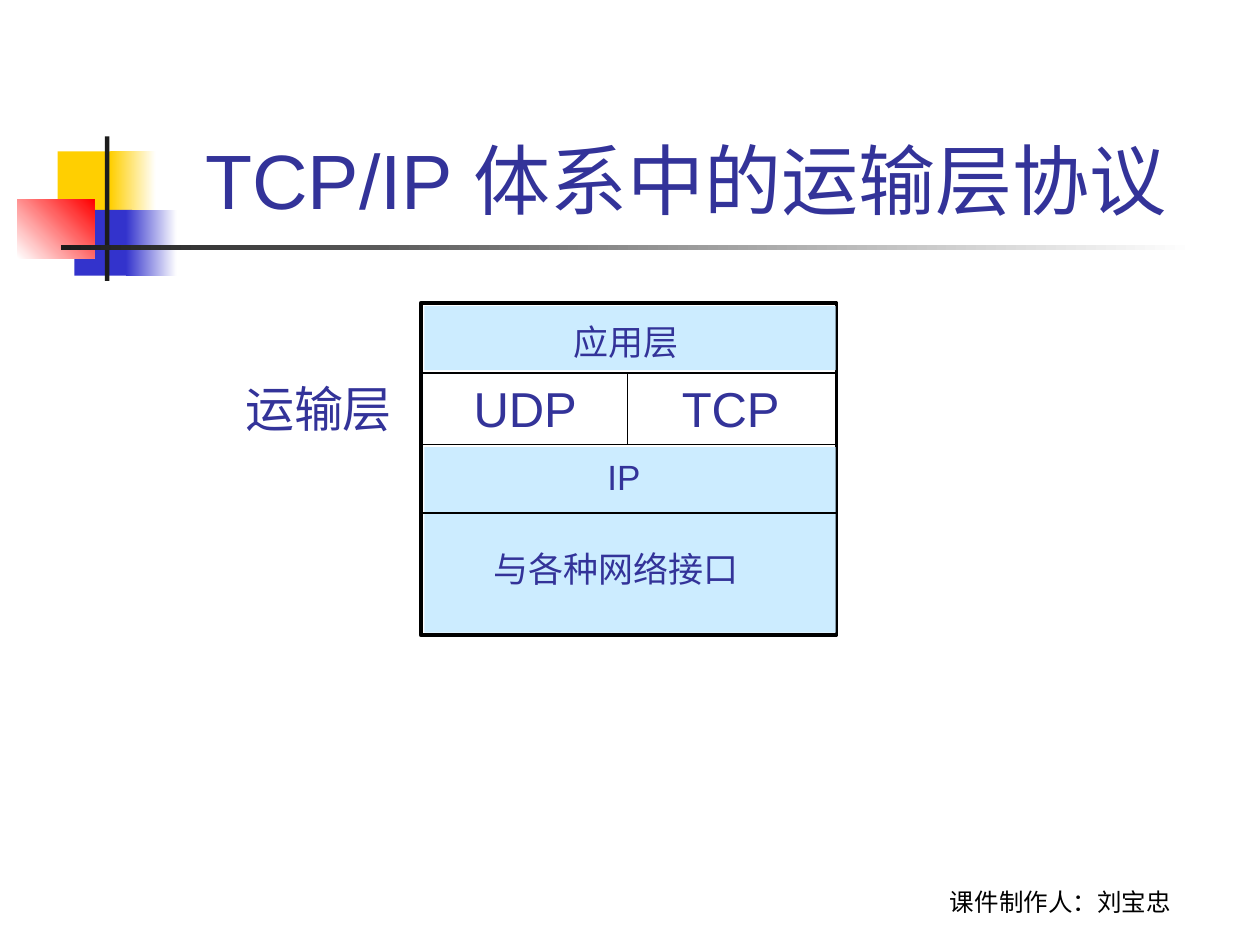
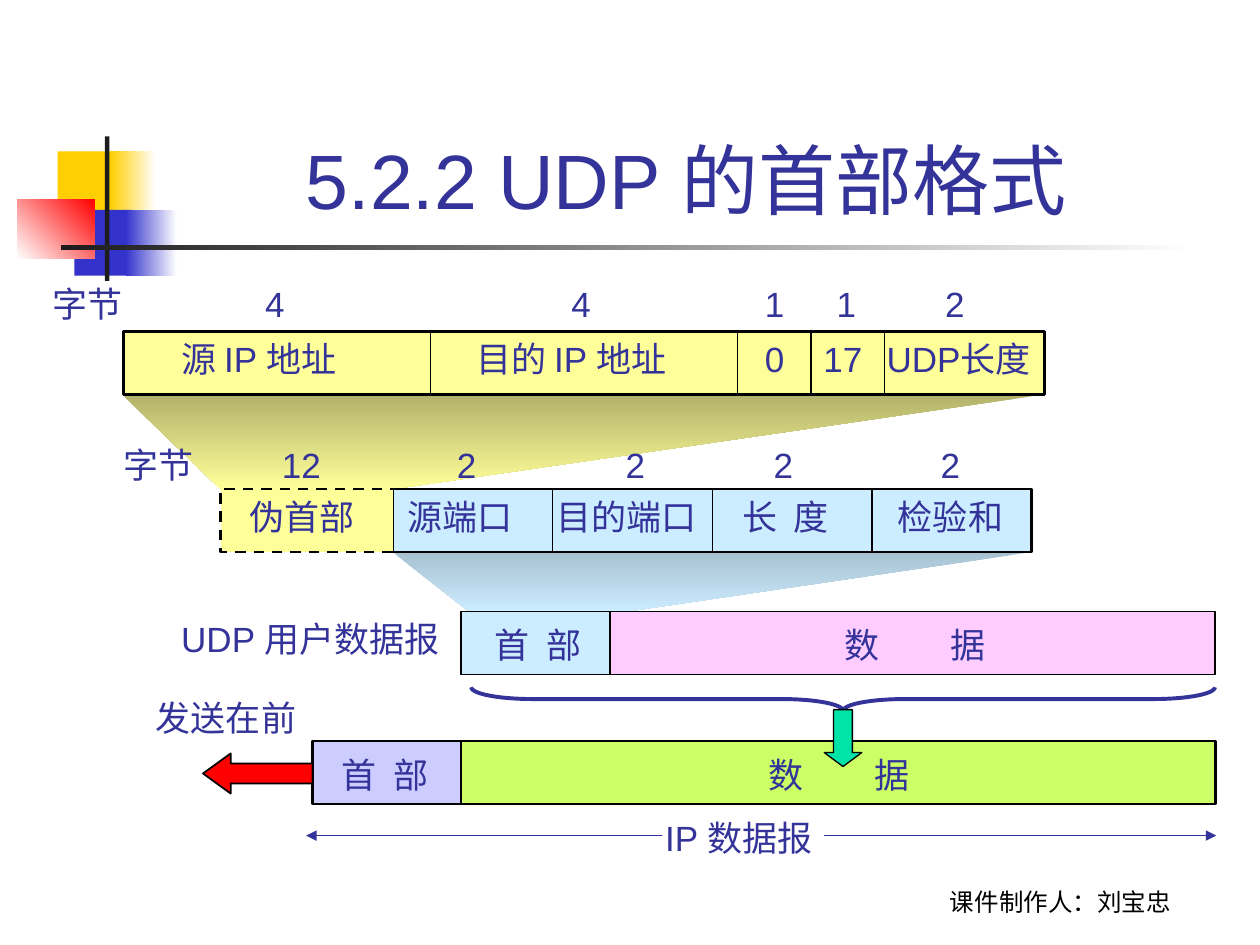
from lxml.etree import SubElement
from pptx import Presentation
from pptx.dml.color import RGBColor
from pptx.enum.dml import MSO_LINE
from pptx.enum.shapes import MSO_CONNECTOR, MSO_SHAPE
from pptx.enum.text import MSO_ANCHOR, PP_ALIGN
from pptx.oxml.ns import qn
from pptx.util import Pt

COLORS = {
    "ink": "333399", "black": "000000", "white": "FFFFFF", "dark": "1C1C1C",
    "gold": "FFCF01", "blue": "3333CC", "red": "FF0000",
    "sky": "CCECFF", "sky_shade": "A7C1D1",
    "yellow": "FFFF99", "yellow_shade": "B2B26B",
    "lilac": "CCCCFF", "pink": "FFCCFF", "lime": "CCFF66", "mint": "00E4A8",
}
ROW_HEIGHT = 36
LABEL_SLACK = 8  # spare width that keeps each label on one line


def rgb(name):
    return RGBColor.from_string(COLORS[name])


class Pen:
    """Holds the style of the deck and draws on the current slide."""

    def __init__(self):
        self.deck = Presentation()
        self.deck.slide_width, self.deck.slide_height = Pt(720), Pt(540)
        self.page = None

    def new_page(self, title):
        self.page = self.deck.slides.add_slide(self.deck.slide_layouts[6])
        # Corner squares and the cross of bars
        self.box(33, 86.5, 34.5, 37.5, "gold")
        self.box(63, 86.5, 26, 37.5, ("gold", "white"))
        self.box(42.5, 120, 33, 37.5, "blue")
        self.box(72, 120, 29, 37.5, ("blue", "white"))
        self.box(10, 114, 44, 33.5, ("white", "red"), angle=45)
        self.box(60, 78, 2.5, 82.5, "dark")
        self.box(35, 140.2, 648, 2.5, ("dark", "white"))
        # Footer and title
        self.banner("课件制作人：刘宝忠", 492, 491, 228, 36, 14, "Lato", "black")
        self.banner(title, 85.5, 17, 613.5, 115.2, 44, "Arial", "ink")

    def paint(self, shape, fill=None, angle=0, line=None, line_color="black"):
        shape.shadow.inherit = False
        if fill is None:
            shape.fill.background()
        elif isinstance(fill, tuple):
            shape.fill.gradient()
            shape.fill.gradient_angle = angle
            for stop, name in zip(shape.fill.gradient_stops, fill):
                stop.color.rgb = rgb(name)
        else:
            shape.fill.solid()
            shape.fill.fore_color.rgb = rgb(fill)
        if line:
            shape.line.color.rgb = rgb(line_color)
            shape.line.width = Pt(line)
        else:
            shape.line.fill.background()
        return shape

    def box(self, left, top, width, height, fill=None,
            kind=MSO_SHAPE.RECTANGLE, adjust=(), **style):
        shape = self.page.shapes.add_shape(
            kind, Pt(left), Pt(top), Pt(width), Pt(height))
        for index, value in enumerate(adjust):
            shape.adjustments[index] = value
        return self.paint(shape, fill, **style)

    def outline(self, points, fill, close=True, **style):
        corners = [(Pt(x), Pt(y)) for x, y in points]
        builder = self.page.shapes.build_freeform(*corners[0])
        builder.add_line_segments(corners[1:], close=close)
        return self.paint(builder.convert_to_shape(), fill, **style)

    def line(self, x1, y1, x2, y2, width, color="black", arrows=False):
        rule = self.page.shapes.add_connector(
            MSO_CONNECTOR.STRAIGHT, Pt(x1), Pt(y1), Pt(x2), Pt(y2))
        rule.line.color.rgb = rgb(color)
        rule.line.width = Pt(width)
        if arrows:
            for end in ("a:headEnd", "a:tailEnd"):
                SubElement(rule.line._ln, qn(end), type="triangle")
        SubElement(rule._element.spPr, qn("a:effectLst"))

    def text(self, words, left, top, width, height, size, font, color, tab=None):
        box = self.page.shapes.add_textbox(
            Pt(left), Pt(top), Pt(width), Pt(height))
        box.text_frame.word_wrap = True
        para = box.text_frame.paragraphs[0]
        para.add_run().text = words
        if tab:
            tabs = SubElement(para._p.get_or_add_pPr(), qn("a:tabLst"))
            SubElement(tabs, qn("a:tab"), pos=str(Pt(tab)), algn="l")
        para.font.size = Pt(size)
        para.font.name = font
        para.font.color.rgb = rgb(color)
        return box.text_frame

    def banner(self, *args):
        frame = self.text(*args)
        frame.vertical_anchor = MSO_ANCHOR.BOTTOM
        frame.paragraphs[0].alignment = PP_ALIGN.CENTER

    def label(self, words, left, top, width, size=20, font="Arial", tab=None):
        height = 31.5 if size == 20 else 40.5
        self.text(words, left, top, width + LABEL_SLACK, height,
                  size, font, "ink", tab)

    def label_row(self, top, labels):
        for words, left, width in labels:
            self.label(words, left, top, width)

    def spread_label(self, first, last, left, top, gap):
        """Two characters, the second one starting at the gap."""
        self.label(f"{first}\t{last}", left, top, gap + 36, tab=gap)


def protocol_stack(pen):
    pen.new_page("TCP/IP 体系中的运输层协议")
    # Layers
    left, right = 240.5, 478
    pen.box(left, 173, right - left, 190, "white", line=2)
    pen.box(242.5, 175, 235, 36.5, "sky")
    pen.box(242.5, 255.5, 235, 106, "sky")
    for y in (213, 254, 293):
        pen.line(left, y, right, y, 1)
    pen.line(358.5, 213.5, 358.5, 253.5, 1)
    # Layer names
    pen.label("TCP", 382.5, 213, 70.5, 28)
    pen.label("UDP", 263.5, 213, 73.5, 28)
    pen.label("运输层", 133, 213, 98, 28, "Lato")
    pen.label("IP", 340, 257, 33)
    pen.label("应用层", 320.5, 179.5, 74)
    pen.label("与各种网络接口", 275, 309.5, 168)


def udp_header(pen):
    pen.new_page("5.2.2 UDP 的首部格式")
    pseudo_top, header_top, udp_top, ip_top = 189.5, 279.5, 349.5, 423.5
    pseudo_bottom, header_bottom = pseudo_top + ROW_HEIGHT, header_top + ROW_HEIGHT
    header_left, header_width = 224.5, 365

    # Beams from each expanded row down to its part
    pen.outline([(70, pseudo_bottom), (596, pseudo_bottom),
                 (header_left, header_top), (126, header_top)],
                ("yellow_shade", "yellow"), angle=270)
    pen.outline([(header_left, header_bottom), (589, header_bottom),
                 (358, udp_top), (268, udp_top)],
                ("sky_shade", "sky"), angle=270)

    # Pseudo-header fields
    pen.box(70.5, pseudo_top, 526.5, ROW_HEIGHT, "yellow", line=1.5)
    for x in (246, 421.5, 463.5, 505.5):
        pen.line(x, pseudo_top, x, pseudo_bottom, 0.75)
    pen.label_row(158, [("字节", 23, 54), ("4", 144.5, 25), ("4", 319.5, 25),
                        ("1", 430, 25), ("1", 471, 25), ("2", 533, 25)])
    pen.label_row(pseudo_top, [("源 IP 地址", 96.5, 113), ("目的 IP 地址", 265, 133),
                               ("0", 430, 25), ("17", 463.5, 37),
                               ("UDP长度", 499.5, 101.5)])

    # UDP header fields
    pen.box(header_left, header_top, header_width, ROW_HEIGHT, "sky", line=1.5)
    for index in range(1, 4):
        x = header_left + index * header_width / 4
        pen.line(x, header_top, x, header_bottom, 0.75)
    pseudo_part = pen.outline(
        [(header_left, header_bottom), (126, header_bottom),
         (126, header_top), (header_left, header_top)],
        "yellow", close=False, line=1.5)
    pseudo_part.line.dash_style = MSO_LINE.DASH
    pen.label_row(250, [("字节", 63.5, 54), ("12", 154, 37), ("2", 254, 25),
                        ("2", 350.5, 25), ("2", 435, 25), ("2", 530.5, 25)])
    pen.label_row(header_top, [("伪首部", 135.5, 74), ("源端口", 225.5, 74),
                               ("目的端口", 311, 94.5), ("检验和", 506, 74)])
    pen.spread_label("长", "度", 417, header_top, 29.5)

    # UDP and IP datagrams: header part, then data part up to the right edge
    for top, left, split, fills, weight, head_x, data_x in (
            (udp_top, 263.5, 348.5, ("sky", "pink"), 1, 275.5, 475.5),
            (ip_top, 178.5, 263.5, ("lilac", "lime"), 1.5, 188, 432)):
        pen.box(left, top, split - left, ROW_HEIGHT, fills[0], line=weight)
        pen.box(split, top, 694.5 - split, ROW_HEIGHT, fills[1], line=weight)
        pen.spread_label("首", "部", head_x, top + 3.5, 29.5)
        pen.spread_label("数", "据", data_x, top + 3.5, 60.5)
    pen.label("UDP 用户数据报", 96.5, udp_top, 167)

    # Brace and arrows
    brace = pen.box(475, 187, 13.5, 425, kind=MSO_SHAPE.RIGHT_BRACE,
                    adjust=(2.6, 0.5), line=2.25, line_color="ink")
    brace.rotation = 90
    pen.box(471, 405.5, 21.5, 32.5, "mint", MSO_SHAPE.DOWN_ARROW,
            (0.5, 0.37), line=0.75)
    pen.box(116, 430.5, 62.5, 23, "red", MSO_SHAPE.LEFT_ARROW,
            (0.5, 0.69), line=1)
    pen.label("发送在前", 82, 394.5, 94.5)

    # Span of the IP datagram
    pen.line(175, 477.5, 695, 477.5, 0.75, "ink", arrows=True)
    pen.box(378.5, 465, 92.5, 23, "white")
    pen.label("IP 数据报", 373, 463, 103.5)


def main():
    pen = Pen()
    protocol_stack(pen)
    udp_header(pen)
    pen.deck.save("out.pptx")


if __name__ == "__main__":
    main()
